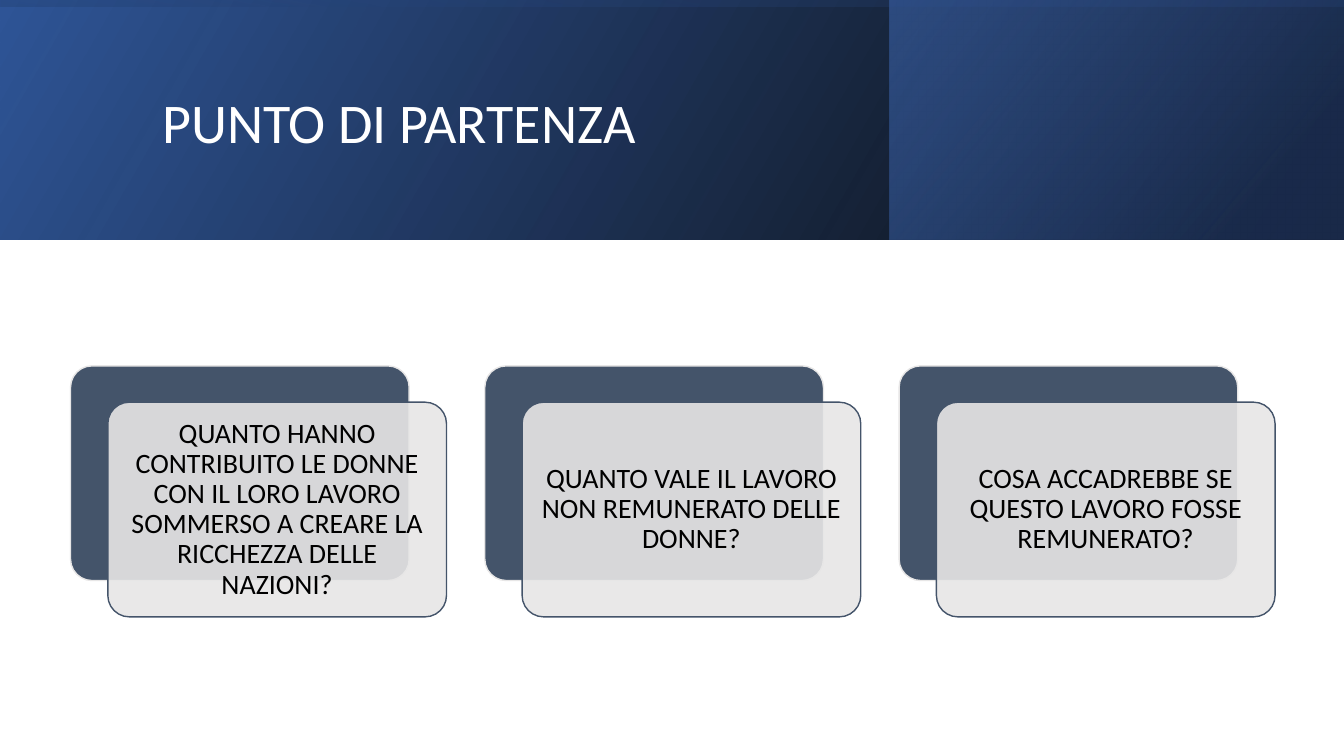
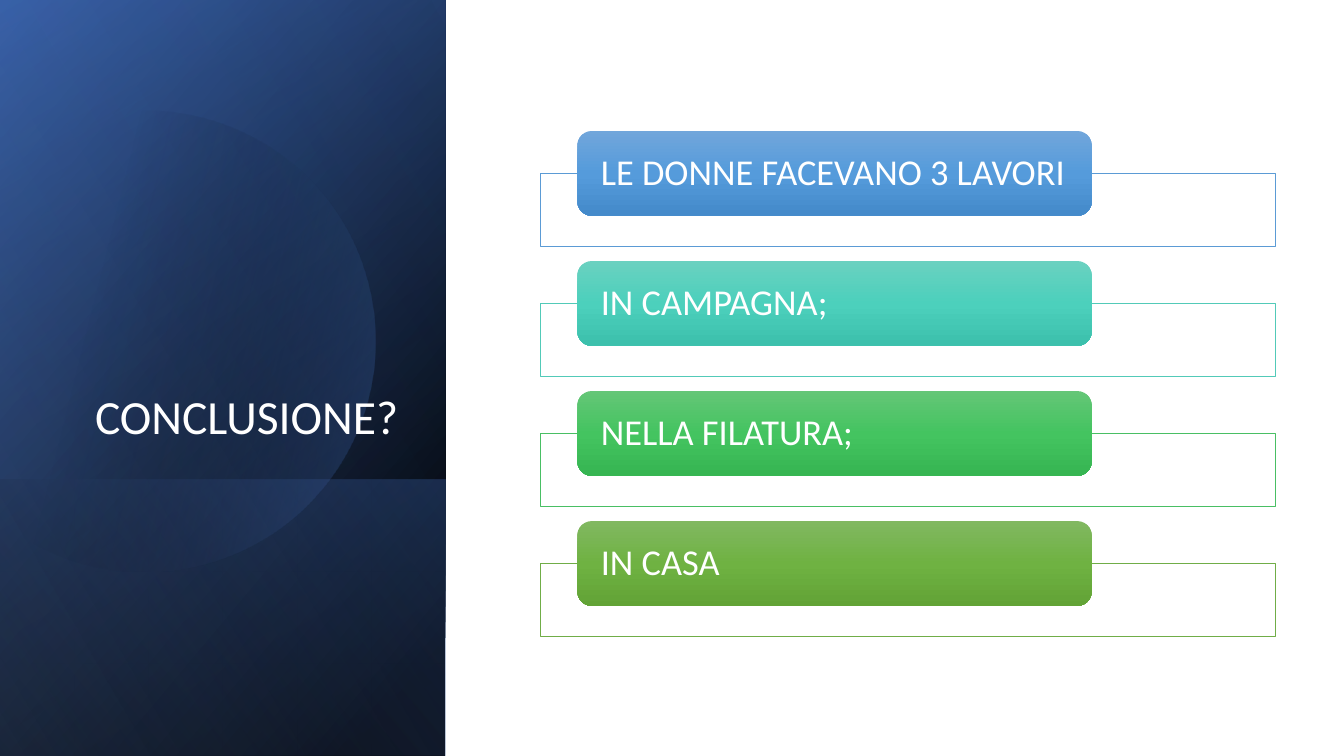
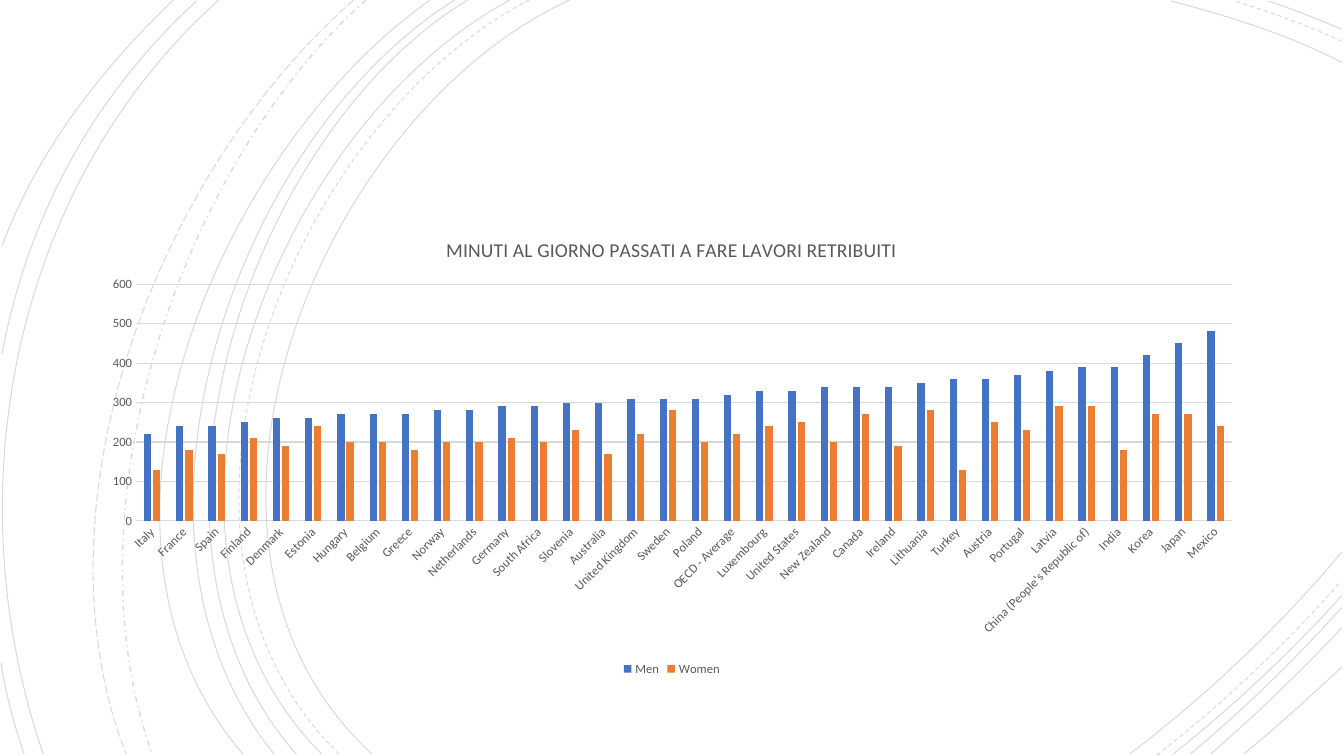
from lxml import etree
from pptx import Presentation
from pptx import util as u
from pptx.chart import data
from pptx.dml import color
from pptx.enum import chart as charts
from pptx.enum import dml, shapes, text
from pptx.oxml import ns, parse_xml

FONT = "Calibri"
SLIDE_WIDTH, SLIDE_HEIGHT = 40 / 3, 7.5
COLORS = {
    "white": "FFFFFF", "black": "000000", "slate": "44546A", "mist": "E7E6E6",
    "blue": "4472C4", "deep": "2F5597", "navy": "203864", "sky": "8FAADC",
    "orange": "ED7D31", "gray": "595959", "grid": "D9D9D9",
}

QUESTIONS = [
    "QUANTO HANNO CONTRIBUITO LE DONNE CON IL LORO LAVORO SOMMERSO A CREARE LA RICCHEZZA DELLE NAZIONI?",
    "QUANTO VALE IL LAVORO NON REMUNERATO DELLE DONNE?",
    "COSA ACCADREBBE SE QUESTO LAVORO FOSSE REMUNERATO?",
]
JOBS = [
    ("LE DONNE FACEVANO 3 LAVORI", "5B9BD5", ("71A6DB", "559BDB", "448ACA")),
    ("IN CAMPAGNA;", "52CAB8", ("6AD1C0", "4CD0BC", "3CC0AC")),
    ("NELLA FILATURA;", "49BF64", ("64C677", "44C460", "36B552")),
    ("IN CASA", "70AD47", ("81B861", "6FB242", "62A336")),
]
MINUTES = [
    ("Italy", 220, 130), ("France", 240, 180), ("Spain", 240, 170),
    ("Finland", 250, 210), ("Denmark", 260, 190), ("Estonia", 260, 240),
    ("Hungary", 270, 200), ("Belgium", 270, 200), ("Greece", 270, 180),
    ("Norway", 280, 200), ("Netherlands", 280, 200), ("Germany", 290, 210),
    ("South Africa", 290, 200), ("Slovenia", 300, 230), ("Australia", 300, 170),
    ("United Kingdom", 310, 220), ("Sweden", 310, 280), ("Poland", 310, 200),
    ("OECD - Average", 320, 220), ("Luxembourg", 330, 240), ("United States", 330, 250),
    ("New Zealand", 340, 200), ("Canada", 340, 270), ("Ireland", 340, 190),
    ("Lithuania", 350, 280), ("Turkey", 360, 130), ("Austria", 360, 250),
    ("Portugal", 370, 230), ("Latvia", 380, 290),
    ("China (People's Republic of)", 390, 290), ("India", 390, 180),
    ("Korea", 420, 270), ("Japan", 450, 270), ("Mexico", 480, 240),
]
SOLID, DASH = dml.MSO_LINE.SOLID, dml.MSO_LINE.DASH
ARCS = [
    (SOLID, [(5.65, 0), (3.15, 1.15), (1.43, 5.4), (3.69, 7.48)]),
    (SOLID, [(13.31, 0.62), (12.78, 0.34), (12.18, 0.16), (11.62, 0.01)]),
    (SOLID, [(11.21, 7.48), (11.97, 6.9), (12.69, 6.22), (13.31, 5.48)]),
    (DASH, [(5.25, 0), (2.85, 1.25), (1.23, 5.37), (3.36, 7.48)]),
    (DASH, [(13.31, 0.41), (12.97, 0.25), (12.6, 0.12), (12.25, 0.01)]),
    (DASH, [(11.48, 7.49), (12.13, 6.98), (12.75, 6.4), (13.3, 5.77)]),
    (SOLID, [(5.06, 0), (2.7, 1.27), (1.1, 5.37), (3.19, 7.48)]),
    (SOLID, [(13.31, 0.29), (13.07, 0.19), (12.83, 0.09), (12.58, 0.01)]),
    (SOLID, [(11.64, 7.48), (12.23, 7.01), (12.8, 6.48), (13.31, 5.91)]),
    (SOLID, [(4.64, 0), (2.44, 1.33), (1.1, 5.41), (2.94, 7.48)]),
    (SOLID, [(11.81, 7.48), (12.34, 7.04), (12.84, 6.55), (13.31, 6.03)]),
    (SOLID, [(4.51, 0), (2.31, 1.38), (0.97, 5.33), (2.72, 7.48)]),
    (SOLID, [(12.01, 7.48), (12.46, 7.09), (12.9, 6.67), (13.31, 6.23)]),
    (SOLID, [(4.27, 0), (2.17, 1.47), (0.53, 5.29), (2.41, 7.48)]),
    (SOLID, [(12.34, 7.48), (12.67, 7.21), (12.99, 6.92), (13.31, 6.62)]),
    (dml.MSO_LINE.DASH_DOT, [(3.63, 0), (1.76, 1.66), (0.65, 5.09), (1.51, 7.48)]),
    (dml.MSO_LINE.LONG_DASH, [(3.51, 0), (1.57, 1.69), (0.29, 4.99), (1.25, 7.48)]),
    (SOLID, [(2.17, 0), (0.11, 1.85), (-0.46, 4.9), (0.43, 7.48)]),
    (SOLID, [(1.95, 0.01), (0.92, 0.96), (0.28, 2.14), (0.02, 3.51)]),
    (SOLID, [(0.01, 6.58), (0.06, 6.89), (0.14, 7.19), (0.24, 7.48)]),
    (SOLID, [(1.72, 0), (1, 0.69), (0.37, 1.5), (0.02, 2.44)]),
]


def rgb(value):
    """Return a colour from a palette name or a hex string."""
    return color.RGBColor.from_string(COLORS.get(value, value))


def inches(values):
    """Convert a sequence of numbers to lengths."""
    return [u.Inches(value) for value in values]


def set_opacity(shape, query, percent):
    """Make the colour found under the shape properties translucent."""
    for element in shape.element.spPr.xpath(query):
        etree.SubElement(element, ns.qn("a:alpha"), val=str(percent * 1000))


def set_gradient(shape, stops, angle):
    """Fill a shape with a linear gradient of (position, colour, opacity) stops."""
    marks = "".join(
        f'<a:gs pos="{position * 1000}"><a:srgbClr val="{rgb(name)}">'
        f'<a:alpha val="{opacity * 1000}"/></a:srgbClr></a:gs>'
        for position, name, opacity in stops)
    gradient = parse_xml(
        f'<a:gradFill {ns.nsdecls("a")} rotWithShape="1"><a:gsLst>{marks}</a:gsLst>'
        f'<a:lin ang="{angle * 60000}" scaled="0"/></a:gradFill>')
    shape.element.spPr.xpath("a:prstGeom|a:custGeom")[0].addnext(gradient)


def set_line(shape, name=None, width=1):
    """Give a shape a plain outline, or none, and no shadow."""
    shape.shadow.inherit = False
    if name is None:
        shape.line.fill.background()
    else:
        shape.line.color.rgb = rgb(name)
        shape.line.width = u.Pt(width)


def add_box(slide, box, rounded=False, fill=None, opacity=100, line=None, width=1):
    """Add a rectangle, rounded or not, with its fill and outline."""
    kind = shapes.MSO_SHAPE.ROUNDED_RECTANGLE if rounded else shapes.MSO_SHAPE.RECTANGLE
    shape = slide.shapes.add_shape(kind, *inches(box))
    set_line(shape, line, width)
    if fill:
        shape.fill.solid()
        shape.fill.fore_color.rgb = rgb(fill)
        if opacity < 100:
            set_opacity(shape, "a:solidFill/a:srgbClr", opacity)
    return shape


def add_band(slide, box, stops, angle, rotation=0):
    """Add a mirrored gradient rectangle."""
    band = add_box(slide, box)
    set_gradient(band, stops, angle)
    band.rotation = rotation
    band.element.spPr.xfrm.set("flipH", "1")


def add_outline(slide, start, segments, close=False):
    """Add a freeform whose segments are lines (one point) or cubic curves (three)."""
    builder = slide.shapes.build_freeform(*inches(start))
    builder.add_line_segments(
        [inches(point) for segment in segments for point in segment], close=close)
    outline = builder.convert_to_shape()
    lines = iter(outline.element.spPr.xpath("a:custGeom//a:lnTo"))
    for segment in segments:
        steps = [next(lines) for point in segment]
        if len(steps) == 3:
            curve = parse_xml(f'<a:cubicBezTo {ns.nsdecls("a")}/>')
            steps[0].addprevious(curve)
            for step in steps:
                curve.append(step[0])
                step.getparent().remove(step)
    return outline


def write_text(shape, content, size=20, ink="white", align=text.PP_ALIGN.LEFT,
               anchor=text.MSO_ANCHOR.MIDDLE, margins=(0.1, 0.05)):
    """Write one formatted paragraph into a shape."""
    frame = shape.text_frame
    frame.text = content
    frame.word_wrap = True
    frame.auto_size = text.MSO_AUTO_SIZE.NONE
    frame.vertical_anchor = anchor
    frame.margin_left = frame.margin_right = u.Inches(margins[0])
    frame.margin_top = frame.margin_bottom = u.Inches(margins[1])
    paragraph = frame.paragraphs[0]
    paragraph.alignment = align
    paragraph.line_spacing = 0.9
    set_font(paragraph.font, size, ink)


def set_font(font, size, ink):
    """Set the shared typeface with a size and a colour."""
    font.name, font.size, font.bold = FONT, u.Pt(size), False
    font.color.rgb = rgb(ink)


def place_title(slide, box, content, **style):
    """Move the title placeholder to a box, in front of the bands."""
    title = slide.shapes.title
    title.left, title.top, title.width, title.height = inches(box)
    write_text(title, content, **style)
    title.element.getparent().append(title.element)


def add_header(slide, height):
    """Draw the gradient header across the top of the slide."""
    middle = (SLIDE_WIDTH - height) / 2
    add_band(slide, (0, 0, SLIDE_WIDTH, height), [(0, "black", 96), (100, "deep", 100)], 330)
    add_band(slide, (8.83, 0, SLIDE_WIDTH - 8.83, height),
             [(19, "navy", 68), (100, "blue", 48)], 320)
    add_band(slide, (middle, -middle, height, SLIDE_WIDTH),
             [(23, "deep", 16), (99, "black", 45)], 350, 270)


def add_question(slide, left, top, question):
    """Draw a dark card with a translucent question card over it."""
    width, height = 3.36, 2.13
    back = add_box(slide, (left, top, width, height), True, "slate", line="mist")
    front = add_box(slide, (left + 0.37, top + 0.36, width, height), True, "mist", 90, "slate")
    for card in (back, front):
        card.adjustments[0] = 0.1
    write_text(front, question, ink="black", align=text.PP_ALIGN.CENTER, margins=(0.08, 0.08))


def add_side_panel(slide, width):
    """Draw the gradient panel with its disc down the left side."""
    shift = (SLIDE_HEIGHT - width) / 2
    whole = (-shift, shift, SLIDE_HEIGHT, width)
    add_band(slide, whole, [(8, "black", 100), (100, "deep", 100)], 50, 90)
    add_band(slide, whole, [(0, "black", 0), (99, "blue", 46)], 30, 90)
    add_band(slide, (0.84, 3.92, 2.74, width), [(2, "blue", 29), (100, "black", 30)], 130, 90)
    disc = add_outline(slide, (1.49, 1.1), [
        [(2.46, 1.12), (3.35, 1.77), (3.63, 2.75)],
        [(3.98, 3.97), (3.28, 5.23), (2.07, 5.58)],
        [(1.31, 5.8), (0.53, 5.61), (-0.03, 5.14)],
        [(-0.15, 5.03)], [(-0.15, 1.75)], [(0, 1.61)],
        [(0.23, 1.42), (0.5, 1.28), (0.8, 1.19)],
        [(1.03, 1.13), (1.26, 1.1), (1.49, 1.1)],
    ], True)
    set_line(disc)
    set_gradient(disc, [(29, "black", 0), (100, "blue", 43)], 14)
    add_band(slide, whole, [(0, "black", 0), (99, "sky", 11)], 120, 90)


def add_job(slide, left, top, label, line, shades):
    """Draw an outlined row with a gradient label on its upper edge."""
    add_box(slide, (left, top + 0.42, 7.29, 0.72), False, "white", 90, line, 0.5)
    tag = add_box(slide, (left + 0.37, top, 5.1, 0.84), True)
    set_gradient(tag, [(50 * i, shade, 100) for i, shade in enumerate(shades)], 90)
    write_text(tag, label, size=26, margins=(0.19, 0))


def add_arcs(slide):
    """Draw the faint curves behind the chart."""
    for dash, (start, *controls) in ARCS:
        arc = add_outline(slide, start, [controls])
        arc.fill.background()
        set_line(arc, "black", 1 if dash == dml.MSO_LINE.DASH_DOT else 0.75)
        arc.line.dash_style = dash
        set_opacity(arc, "a:ln/a:solidFill/a:srgbClr", 15)


def set_layout(element, index, size, target="", **lengths):
    """Fix the place of a chart part, given in inches within the chart size."""
    for old in element.xpath("c:layout"):
        element.remove(old)
    modes = "".join(f'<c:{axis}Mode val="edge"/>' for axis in "xy")
    whole = {"x": size[0], "y": size[1], "w": size[0], "h": size[1]}
    values = "".join(f'<c:{key} val="{length / whole[key]}"/>'
                     for key, length in lengths.items())
    element.insert(index, parse_xml(
        f'<c:layout {ns.nsdecls("c")}><c:manualLayout>{target}{modes}{values}'
        '</c:manualLayout></c:layout>'))


def add_minutes_chart(slide, box):
    """Add the column chart of paid minutes by country."""
    countries, men, women = zip(*MINUTES)
    chart_data = data.CategoryChartData()
    chart_data.categories = countries
    chart_data.add_series("Men", men)
    chart_data.add_series("Women", women)
    chart = slide.shapes.add_chart(
        charts.XL_CHART_TYPE.COLUMN_CLUSTERED, *inches(box), chart_data).chart
    set_font(chart.font, 10, "black")
    chart.has_title = True
    title = chart.chart_title.text_frame
    title.text = "MINUTI AL GIORNO PASSATI A FARE LAVORI RETRIBUITI"
    set_font(title.paragraphs[0].runs[0].font, 14, "gray")
    chart.has_legend = True
    chart.legend.position = charts.XL_LEGEND_POSITION.BOTTOM
    chart.legend.include_in_layout = False
    set_font(chart.legend.font, 9, "gray")
    plot = chart.plots[0]
    plot.gap_width, plot.overlap, plot.vary_by_categories = 219, -27, False
    for series, name in zip(plot.series, ("blue", "orange")):
        series.format.fill.solid()
        series.format.fill.fore_color.rgb = rgb(name)
    for axis in (chart.category_axis, chart.value_axis):
        axis.major_tick_mark = axis.minor_tick_mark = charts.XL_TICK_MARK.NONE
        set_font(axis.tick_labels.font, 9, "gray")
    values = chart.value_axis
    values.minimum_scale, values.maximum_scale, values.major_unit = 0, 600, 100
    values.format.line.fill.background()
    for line in (chart.category_axis.format.line, values.major_gridlines.format.line):
        line.color.rgb = rgb("grid")
        line.width = u.Pt(0.75)
    chart.element.xpath("//c:catAx/c:txPr/a:bodyPr")[0].set("rot", "-2700000")
    set_layout(chart.element.xpath("//c:chart/c:title")[0], 1, box[2:], x=3.51, y=0.13)
    set_layout(chart.element.xpath("//c:plotArea")[0], 0, box[2:],
               '<c:layoutTarget val="inner"/>', x=0.47, y=0.64, w=10.87, h=2.35)


def build_questions(slide):
    """Build the slide with the three opening questions."""
    add_header(slide, 2.38)
    place_title(slide, (1.51, 0.38, 10.63, 1.72), "PUNTO DI PARTENZA", size=40)
    for column, question in enumerate(QUESTIONS):
        add_question(slide, 0.7 + 4.11 * column, 3.63, question)


def build_conclusion(slide):
    """Build the slide with the side panel and the list of jobs."""
    add_side_panel(slide, 4.42)
    place_title(slide, (0.64, 1.84, 3.41, 2.62), "CONCLUSIONE?", size=34,
                align=text.PP_ALIGN.RIGHT, anchor=text.MSO_ANCHOR.BOTTOM)
    for row, job in enumerate(JOBS):
        add_job(slide, 5.36, 1.3 + 1.29 * row, *job)


def build_minutes(slide):
    """Build the slide with the chart over curves."""
    add_arcs(slide)
    add_minutes_chart(slide, (0.88, 2.18, 11.57, 4.57))


def main():
    """Build and save the presentation."""
    presentation = Presentation()
    presentation.slide_width, presentation.slide_height = inches((SLIDE_WIDTH, SLIDE_HEIGHT))
    title_only, blank = presentation.slide_layouts[5], presentation.slide_layouts[6]
    for build, layout in ((build_questions, title_only), (build_conclusion, title_only),
                          (build_minutes, blank)):
        build(presentation.slides.add_slide(layout))
    presentation.save("out.pptx")


if __name__ == "__main__":
    main()
